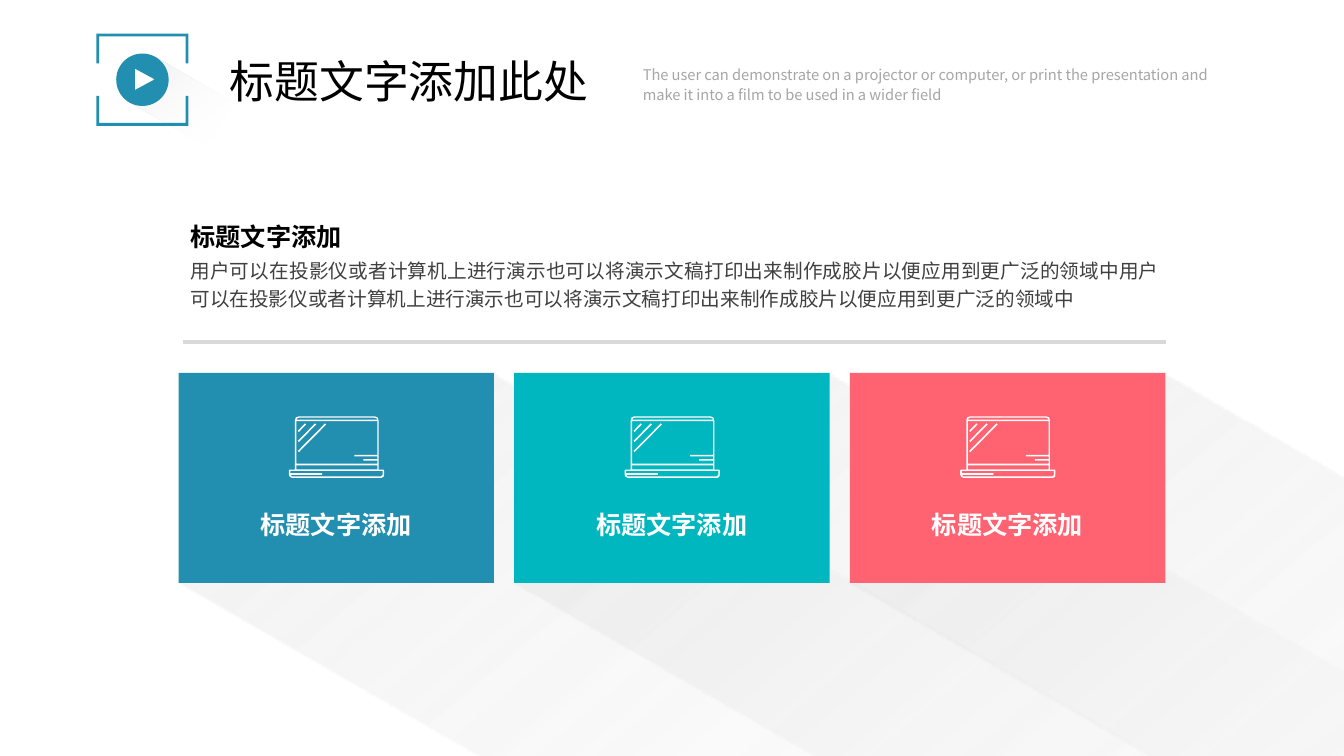
from math import cos, pi, radians, sin

from lxml.etree import SubElement
from pptx import Presentation
from pptx.dml.color import RGBColor
from pptx.enum.shapes import MSO_CONNECTOR as Connector, MSO_SHAPE as Shape
from pptx.enum.text import MSO_AUTO_SIZE as AutoSize, PP_ALIGN as Align
from pptx.oxml.ns import qn
from pptx.util import Cm, Pt

BLUE = RGBColor(0x22, 0x8E, 0xB0)
TEAL = RGBColor(0x00, 0xB6, 0xBF)
CORAL = RGBColor(0xFF, 0x63, 0x72)
WHITE = RGBColor(0xFF, 0xFF, 0xFF)
BLACK = RGBColor(0x00, 0x00, 0x00)
CHARCOAL = RGBColor(0x40, 0x40, 0x40)
GREY = RGBColor(0xA6, 0xA6, 0xA6)
SILVER = RGBColor(0xD9, 0xD9, 0xD9)
PALE = RGBColor(0xF2, 0xF2, 0xF2)

CARD_COLOURS = (BLUE, TEAL, CORAL)
CARD_LEFT, CARD_TOP, CARD_WIDTH, CARD_HEIGHT, CARD_STEP = 4.5, 9.4, 7.95, 5.29, 8.46
TILT = 30
HEADING = "标题文字添加"
BODY = "用户可以在投影仪或者计算机上进行演示也可以将演示文稿打印出来制作成胶片以便应用到更广泛的领域中"

deck = Presentation()
deck.slide_width, deck.slide_height = Cm(33.87), Cm(19.05)
page = deck.slides.add_slide(deck.slide_layouts[6])


def add_outline(contours, colour):
    scaled = [[(x * 1000, y * 1000) for x, y in contour] for contour in contours]
    builder = page.shapes.build_freeform(*scaled[0][0], scale=Cm(1) / 1000)
    for number, contour in enumerate(scaled):
        if number:
            builder.move_to(*contour[0])
        builder.add_line_segments(contour[1:], close=True)
    outline = builder.convert_to_shape()
    outline.shadow.inherit = False
    outline.fill.solid()
    outline.fill.fore_color.rgb = colour
    outline.line.fill.background()
    return outline


def add_long_shadow(points, centre, stops):
    middle_x, middle_y = centre
    cosine, sine = cos(radians(TILT)), sin(radians(TILT))
    level = [
        (
            middle_x + (x - middle_x) * cosine + (y - middle_y) * sine,
            middle_y - (x - middle_x) * sine + (y - middle_y) * cosine,
        )
        for x, y in points
    ]
    shade = add_outline([level], SILVER)
    shade.rotation = TILT
    shade.fill.gradient()
    shade.fill.gradient_angle = 340
    stop_list = shade._element.spPr.find(qn("a:gradFill")).find(qn("a:gsLst"))
    for old_stop in list(stop_list):
        stop_list.remove(old_stop)
    for position, colour, opacity in stops:
        stop = SubElement(stop_list, qn("a:gs"), pos=str(position * 1000))
        tint = SubElement(stop, qn("a:srgbClr"), val=str(colour))
        SubElement(tint, qn("a:alpha"), val=str(opacity * 1000))


card_lefts = [CARD_LEFT + CARD_STEP * number for number in range(len(CARD_COLOURS))]

for left in card_lefts:
    add_long_shadow(
        [(left, 14.67), (left + 7.9, 9.4), (left + 33.3, 24.08), (left + 29.06, 31.42)],
        (left + 16.68, 19.39),
        [(0, SILVER, 40), (85, PALE, 0), (100, WHITE, 0)],
    )

rule = page.shapes.add_connector(Connector.STRAIGHT, Cm(4.62), Cm(8.61), Cm(29.38), Cm(8.61))
rule.line.color.rgb = SILVER
rule.line.width = Pt(3)
SubElement(rule._element.spPr, qn("a:effectLst"))

laptop = [
    [(10, 0), (85, 0), (88, 1), (89, 4), (89, 53), (94, 53), (94.5, 54), (94.5, 58),
     (94, 60), (92, 61), (3, 61), (1, 60), (0, 58), (0, 54), (0.5, 53), (6, 53), (6, 4), (7, 1)],
    [(7.5, 3.2), (8.5, 1.8), (10, 1.4), (85, 1.4), (87, 2), (87.8, 3.2)],
    [(7.5, 4.8), (87.8, 4.8), (87.8, 38.2), (65, 38.2), (65, 39.8), (87.8, 39.8),
     (87.8, 42.5), (74, 42.5), (74, 44), (87.8, 44), (87.8, 47), (7.5, 47)],
    [(7.5, 48.7), (87.8, 48.7), (87.8, 52.7), (7.5, 52.7)],
    [(1.5, 54.2), (93, 54.2), (93, 58), (91.5, 59.6), (3, 59.6), (1.6, 58),
     (33, 58), (33, 56.3), (1.5, 56.3)],
]
for reach in (16, 26, 36):
    laptop.append([(reach, 7), (reach + 1.1, 8.1), (10, reach - 0.5), (8.9, reach - 1.6)])

for left, colour in zip(card_lefts, CARD_COLOURS):
    card = page.shapes.add_shape(
        Shape.RECTANGLE, Cm(left), Cm(CARD_TOP), Cm(CARD_WIDTH), Cm(CARD_HEIGHT))
    card.shadow.inherit = False
    card.fill.solid()
    card.fill.fore_color.rgb = colour
    card.line.fill.background()
    add_outline(
        [[(left + 2.78 + x * 0.0254, 10.49 + y * 0.0254) for x, y in contour] for contour in laptop],
        WHITE,
    )

add_long_shadow(
    [(3.23, 2.54), (3.45, 2.34), (3.86, 2.16), (3.91, 1.42), (5.89, 2.57), (5.23, 3.68)],
    (4.56, 2.57),
    [(0, SILVER, 50), (85, WHITE, 0), (100, WHITE, 0)],
)

brackets = []
for edge, tip, inner in ((0.85, 1.6, 0.92), (3.17, 2.42, 3.1)):
    brackets.append([(2.43, tip), (2.43, edge), (4.75, edge), (4.75, tip),
                     (4.68, tip), (4.68, inner), (2.5, inner), (2.5, tip)])
add_outline(brackets, BLUE)

disc = [(3.59 + 0.66 * cos(pi * step / 36), 2.01 + 0.66 * sin(pi * step / 36)) for step in range(72)]
play_triangle = [(3.4, 1.73), (3.4, 2.27), (3.9, 2)]
add_outline([disc, play_triangle], BLUE)

texts = [
    ("标题文字添加此处", (5.54, 1.24, 9.63, 1.63), False, Align.LEFT, 1,
     {"size": Pt(32), "name": "Arial"}, BLACK),
    ("The user can demonstrate on a projector or computer, or print the presentation and "
     "make it into a film to be used in a wider field",
     (15.95, 1.47, 15.47, 1.27), True, Align.LEFT, 1.14,
     {"size": Pt(10.5), "name": "Noto Sans CJK SC"}, GREY),
    (BODY + BODY, (4.55, 6.27, 24.92, 1.63), True, Align.JUSTIFY, 1.2,
     {"size": Pt(14), "name": "Arial"}, CHARCOAL),
]
heading_font = {"size": Pt(18), "name": "Arial", "bold": True}
texts.append((HEADING, (4.55, 5.31, 6.22, 1.12), True, Align.JUSTIFY, 1.2, heading_font, BLACK))
for left in card_lefts:
    texts.append((HEADING, (left + 0.86, 12.55, 6.22, 1.12), True, Align.CENTER, 1.2,
                  heading_font, WHITE))

for words, place, wraps, alignment, spacing, font_format, colour in texts:
    box = page.shapes.add_textbox(*[Cm(length) for length in place])
    box.text_frame.word_wrap = wraps
    box.text_frame.auto_size = AutoSize.SHAPE_TO_FIT_TEXT
    para = box.text_frame.paragraphs[0]
    para.alignment = alignment
    para.line_spacing = spacing
    span = para.add_run()
    span.text = words
    for attribute, setting in font_format.items():
        setattr(span.font, attribute, setting)
    span.font.color.rgb = colour

deck.save("out.pptx")
